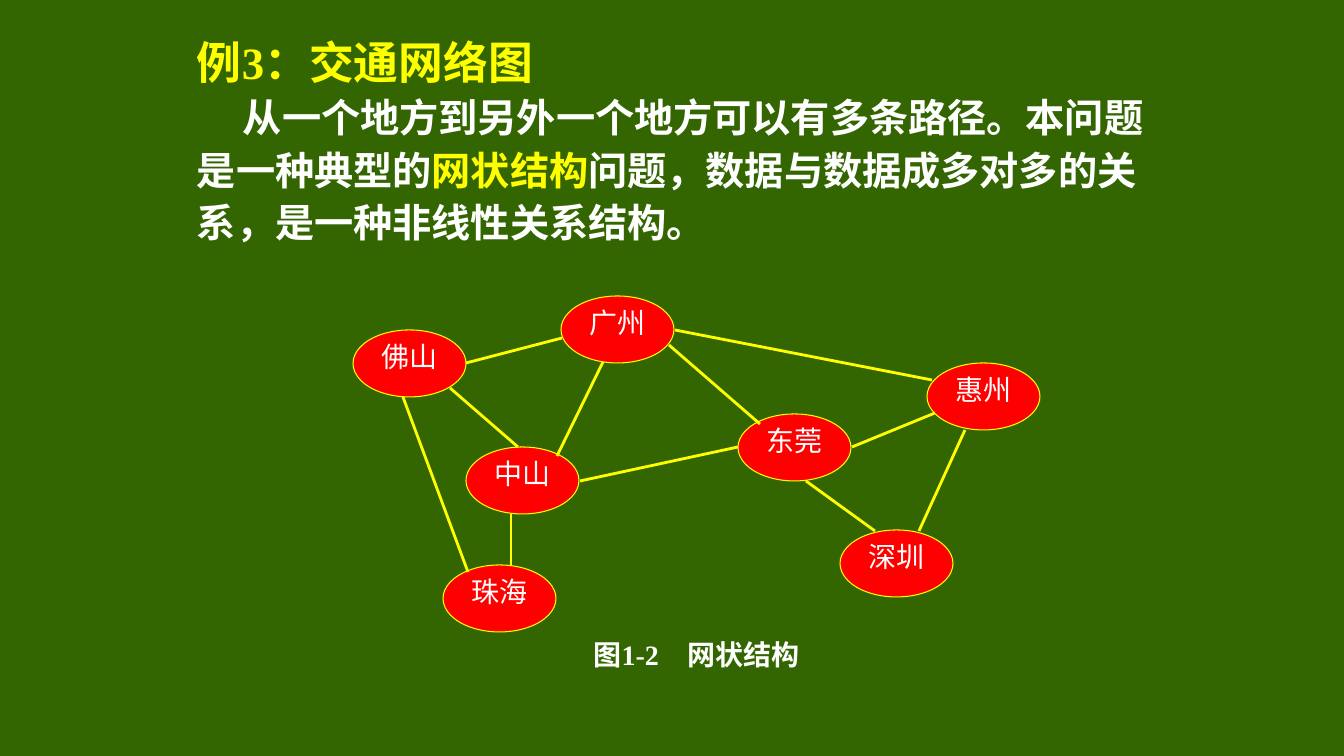
import pptx
import pptx.util
import pptx.dml.color
import pptx.enum.shapes
import pptx.enum.text
import pptx.oxml.ns
import lxml.etree

# Content
COLORS = {"background": "336600", "accent": "FFFF00", "text": "FFFFFF", "city": "FF0000"}
LATIN_FONT, CHINESE_FONT = "Times New Roman", "Noto Sans CJK SC"

HEADING = [("例3：交通网络图", "accent")]
EXPLANATION = [
    ("从一个地方到另外一个地方可以有多条路径。本问题是一种典型的", "text"),
    ("网状结构", "accent"),
    ("问题，数据与数据成多对多的关系，是一种非线性关系结构。", "text"),
]
CAPTION = [("图", "text"), ("1-2", "text"), ("\u3000网状结构", "text")]

# City name: left and top of its ellipse
CITIES = {
    "佛山": (353, 330), "惠州": (927, 363), "广州": (561, 296), "中山": (466, 447),
    "东莞": (738, 414), "深圳": (840, 530), "珠海": (443, 565),
}
CITY_SIZE = (113, 67)

# Roads: start x, y, end x, y
ROADS = [
    (511, 565, 511, 514), (518, 447, 450, 388), (738, 447, 580, 481),
    (760, 424, 669, 345), (875, 531, 806, 481), (919, 531, 965, 430),
    (932, 380, 675, 330), (557, 456, 603, 362), (562, 338, 466, 363),
    (935, 413, 852, 447), (468, 572, 403, 397),
]
BODY_BOX = (187, 21, 966, 238)
CAPTION_BOX = (562, 629, 269, 50)
FIRST_LINE_INDENT = 46
LINE_PITCH = 37.4

EMU_PER_PIXEL = 914400 / 100.8


def pixels(*lengths):
    return [pptx.util.Emu(round(length * EMU_PER_PIXEL)) for length in lengths]


def color(name):
    return pptx.dml.color.RGBColor.from_string(COLORS[name])


def add_runs(paragraph, runs, size, bold=True):
    for text, color_name in runs:
        run = paragraph.add_run()
        run.text = text
        run.font.size = pptx.util.Pt(size)
        run.font.bold = bold
        run.font.color.rgb = color(color_name)
        run.font.name = LATIN_FONT
        properties = run.font._element
        east_asian = lxml.etree.Element(pptx.oxml.ns.qn("a:ea"), typeface=CHINESE_FONT)
        properties.find(pptx.oxml.ns.qn("a:latin")).addnext(east_asian)


def set_margins(frame, left, top, right, bottom):
    frame.margin_left, frame.margin_top, frame.margin_right, frame.margin_bottom = pixels(
        left, top, right, bottom)


# Slide
presentation = pptx.Presentation()
presentation.slide_width, presentation.slide_height = pixels(1344, 756)
slide = presentation.slides.add_slide(presentation.slide_layouts[1])
slide.background.fill.solid()
slide.background.fill.fore_color.rgb = color("background")
title = slide.shapes.title
title.element.getparent().remove(title.element)

# Heading and explanation
body = slide.placeholders[1]
body.left, body.top, body.width, body.height = pixels(*BODY_BOX)
frame = body.text_frame
frame.word_wrap = True
frame.auto_size = pptx.enum.text.MSO_AUTO_SIZE.NONE
frame.vertical_anchor = pptx.enum.text.MSO_ANCHOR.TOP
set_margins(frame, 10, 15, 0, 5)
paragraphs = [frame.paragraphs[0], frame.add_paragraph()]
for paragraph, runs, size, indent in zip(
        paragraphs, (HEADING, EXPLANATION), (32, 28), (0, FIRST_LINE_INDENT)):
    paragraph.line_spacing = pptx.util.Pt(LINE_PITCH)
    paragraph.space_before = pptx.util.Pt(0)
    properties = paragraph._p.get_or_add_pPr()
    properties.set("marL", "0")
    properties.set("indent", str(pixels(indent)[0]))
    lxml.etree.SubElement(properties, pptx.oxml.ns.qn("a:buNone"))
    add_runs(paragraph, runs, size)

# Cities
for name, position in CITIES.items():
    city = slide.shapes.add_shape(
        pptx.enum.shapes.MSO_SHAPE.OVAL, *pixels(*position, *CITY_SIZE))
    city.shadow.inherit = False
    city.fill.solid()
    city.fill.fore_color.rgb = color("city")
    city.line.color.rgb = color("accent")
    city.line.width = pptx.util.Pt(0.75)
    city.text_frame.vertical_anchor = pptx.enum.text.MSO_ANCHOR.TOP
    set_margins(city.text_frame, 0, 0, 0, 0)
    paragraph = city.text_frame.paragraphs[0]
    paragraph.alignment = pptx.enum.text.PP_ALIGN.CENTER
    add_runs(paragraph, [(name, "text")], 20, bold=False)

# Roads
for ends in ROADS:
    road = slide.shapes.add_connector(
        pptx.enum.shapes.MSO_CONNECTOR.STRAIGHT, *pixels(*ends))
    road.line.color.rgb = color("accent")
    road.line.width = pptx.util.Pt(2)
    lxml.etree.SubElement(road._element.spPr, pptx.oxml.ns.qn("a:effectLst"))

# Caption
caption = slide.shapes.add_textbox(*pixels(*CAPTION_BOX))
caption.text_frame.word_wrap = True
caption.text_frame.vertical_anchor = pptx.enum.text.MSO_ANCHOR.MIDDLE
paragraph = caption.text_frame.paragraphs[0]
paragraph.alignment = pptx.enum.text.PP_ALIGN.CENTER
add_runs(paragraph, CAPTION, 20)

presentation.save("out.pptx")
